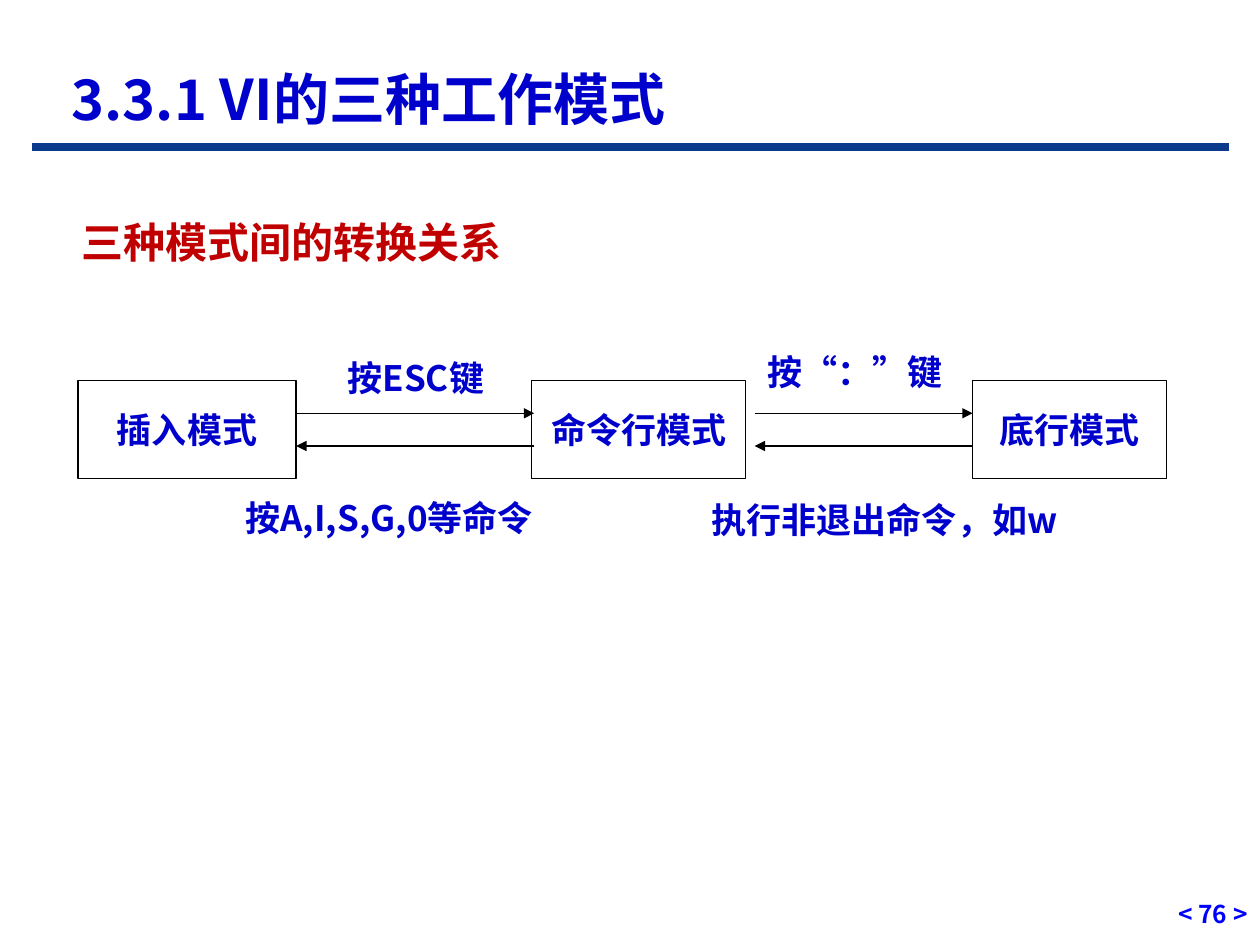
"""Build the slide on switching between the three working modes of VI."""
from lxml import etree
from pptx import Presentation
from pptx.dml.color import RGBColor
from pptx.enum.shapes import MSO_CONNECTOR, MSO_SHAPE
from pptx.enum.text import MSO_ANCHOR, PP_ALIGN
from pptx.oxml.ns import qn
from pptx.util import Inches, Pt

LEFT, CENTER, RIGHT, JUSTIFY = PP_ALIGN.LEFT, PP_ALIGN.CENTER, PP_ALIGN.RIGHT, PP_ALIGN.JUSTIFY
TOP, MIDDLE, BOTTOM = MSO_ANCHOR.TOP, MSO_ANCHOR.MIDDLE, MSO_ANCHOR.BOTTOM
RECT, STRAIGHT = MSO_SHAPE.RECTANGLE, MSO_CONNECTOR.STRAIGHT

THEME = {
    "font": "Noto Sans CJK SC", "page_font": "Noto Sans CJK JP",
    "text": "0000CC", "title": "C00000", "page": "0000FF",
    "rule": "0B398B", "line": "000000", "box": "FFFFFF",
    "heading_size": 32, "title_size": 24, "label_size": 20, "page_size": 14,
    "rule_width": 4.5, "line_width": 0.75,
}

HEADING = ("3.3.1 VI的三种工作模式", (0.47, 0.47, 6.8, 0.62))
TITLE = ("三种模式间的转换关系", (0.55, 1.56, 3.78, 0.72))
PAGE = ("< 76 >", (9.02, 7, 0.98, 0.42))
MODES = [("插入模式", 0.62, 1.73), ("命令行模式", 4.22, 1.7), ("底行模式", 7.72, 1.54)]
LABELS = [
    ("按ESC键", (2.66, 2.78, 1.54, 0.4)),
    ("按A,I,S,G,0等命令", (1.85, 3.89, 2.84, 0.39)),
    ("按“：”键", (5.99, 2.73, 2.08, 0.47)),
    ("执行非退出命令，如w", (5.55, 3.91, 3.47, 0.39)),
]
ARROW_SPANS = [(2.35, 4.24), (5.99, 7.72)]
BOX_TOP, BOX_HEIGHT = 3.02, 0.78
RULE_Y, RULE_SPAN = 1.17, (0.25, 9.75)


def rgb(name):
    return RGBColor.from_string(THEME[name])


def write(s, text, size="label_size", color="text", font="font", align=LEFT, anchor=TOP):
    tf = s.text_frame
    tf.word_wrap = True
    tf.vertical_anchor = anchor
    p = tf.paragraphs[0]
    p.alignment = align
    r = p.add_run()
    r.text = text
    r.font.size = Pt(THEME[size])
    r.font.bold = True
    r.font.color.rgb = rgb(color)
    r.font.name = THEME[font]
    ea = etree.SubElement(r.font._element, qn("a:ea"))
    ea.set("typeface", THEME[font])


def add_text(slide, text, at, **fmt):
    write(slide.shapes.add_textbox(*map(Inches, at)), text, **fmt)


def add_line(slide, x1, x2, y, color="line", width="line_width", arrow=True):
    s = slide.shapes.add_connector(STRAIGHT, *map(Inches, (x1, y, x2, y)))
    s.line.color.rgb = rgb(color)
    s.line.width = Pt(THEME[width])
    if arrow:
        etree.SubElement(s.line._get_or_add_ln(), qn("a:tailEnd")).set("type", "triangle")
    etree.SubElement(s._element.spPr, qn("a:effectLst"))


def add_mode(slide, text, left, width):
    s = slide.shapes.add_shape(RECT, *map(Inches, (left, BOX_TOP, width, BOX_HEIGHT)))
    s.shadow.inherit = False
    s.fill.solid()
    s.fill.fore_color.rgb = rgb("box")
    s.line.color.rgb = rgb("line")
    s.line.width = Pt(THEME["line_width"])
    write(s, text, align=CENTER, anchor=MIDDLE)


def main():
    prs = Presentation()
    prs.slide_width, prs.slide_height = Inches(10), Inches(7.5)
    slide = prs.slides.add_slide(prs.slide_layouts[5])

    text, at = TITLE
    s = slide.shapes.title
    s.left, s.top, s.width, s.height = map(Inches, at)
    write(s, text, size="title_size", color="title", anchor=MIDDLE)

    add_text(slide, *PAGE, size="page_size", color="page", font="page_font",
             align=RIGHT, anchor=BOTTOM)
    add_line(slide, *RULE_SPAN, RULE_Y, color="rule", width="rule_width", arrow=False)
    add_text(slide, *HEADING, size="heading_size", anchor=MIDDLE)

    for mode in MODES:
        add_mode(slide, *mode)
    third = BOX_HEIGHT / 3
    for left, right in ARROW_SPANS:
        add_line(slide, left, right, BOX_TOP + third)
        add_line(slide, right, left, BOX_TOP + 2 * third)
    for label in LABELS:
        add_text(slide, *label, align=JUSTIFY)

    prs.save("out.pptx")


if __name__ == "__main__":
    main()
